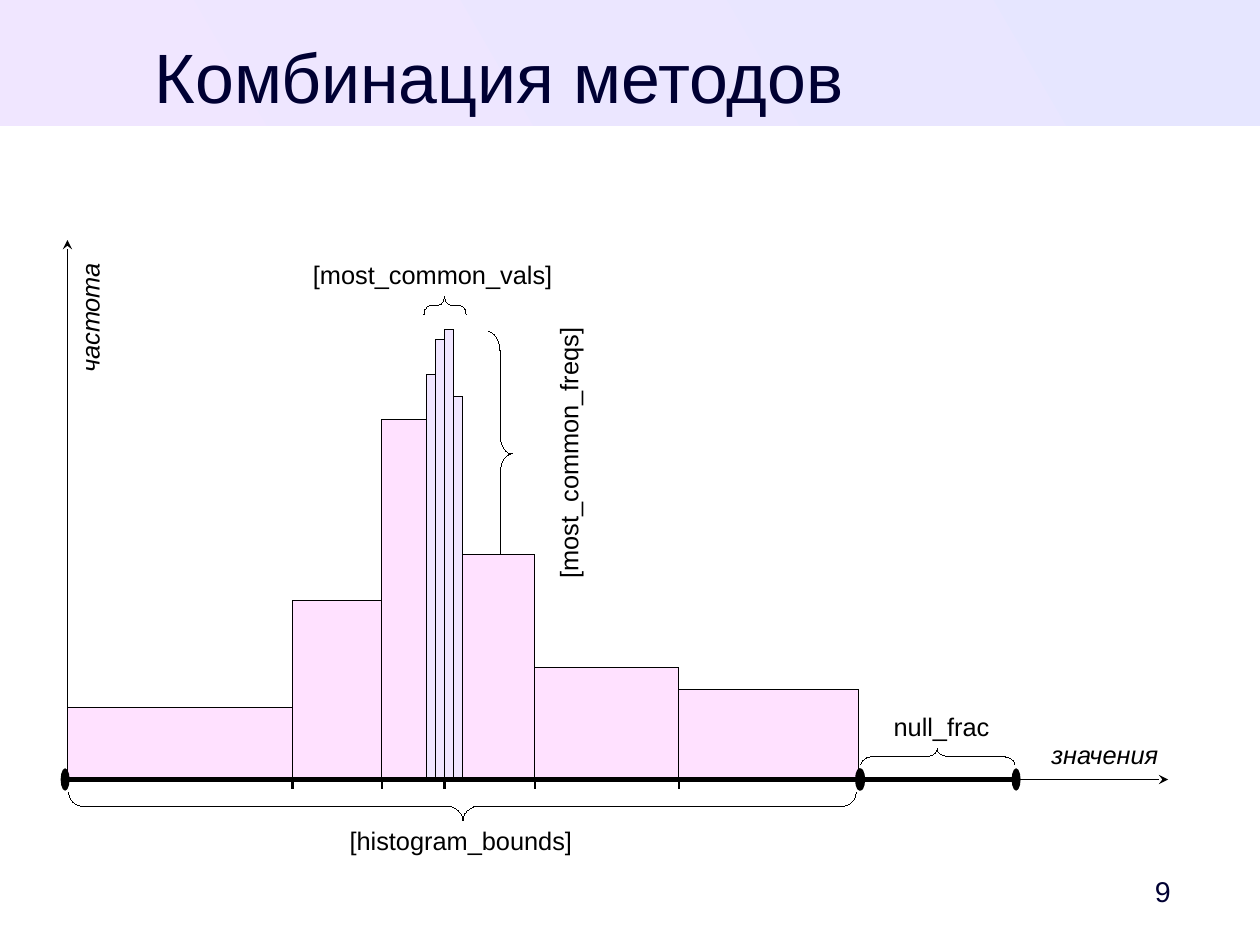
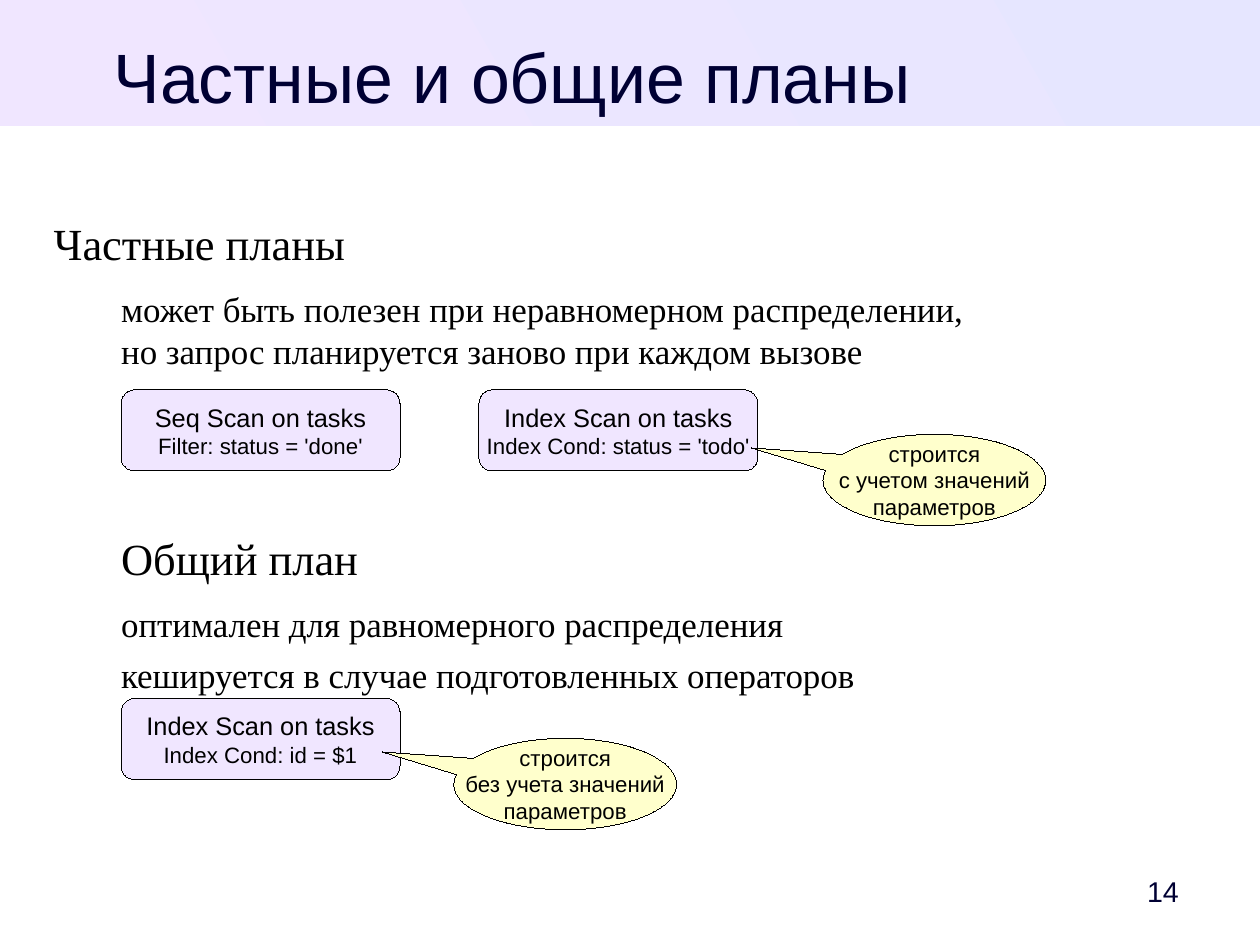
import pptx
import pptx.util
import pptx.dml.color
import pptx.enum.shapes
import pptx.enum.text
import pptx.oxml.ns
import lxml.etree

PX = 9144  # EMU in one px, 100 px to the inch
HAIRLINE = pptx.util.Emu(1)
SLIDE_SIZE = pptx.util.Cm(28), pptx.util.Cm(21)
COLOURS = {"ink": "000000", "title": "000033", "band start": "E6E6FF", "lilac": "F0E6FF",
           "pink": "FFE1FF", "yellow": "FFFFCC"}
SANS, SERIF = "Arial", "Times New Roman"
SHAPES = pptx.enum.shapes.MSO_SHAPE
ALIGN = pptx.enum.text.PP_ALIGN
ANCHOR = pptx.enum.text.MSO_ANCHOR
LINE_ENDS = {"oval": {"type": "oval", "w": "lg", "len": "sm"}, "stealth": {"type": "stealth"}}

# Histogram
BASELINE = 682
BARS = [  # left edge, height, colour; each bar ends where the next begins
    (59, 63, "pink"), (256, 157, "pink"), (334, 315, "pink"),
    (373, 354, "lilac"), (381, 385, "lilac"), (389, 394, "lilac"), (397, 335, "lilac"),
    (405, 197, "pink"), (468, 98, "pink"), (594, 79, "pink")]
BARS_END = 751
TICKS = [256, 334, 389, 468, 594]
BRACES = [  # visible box, rotation, arc length, distance of the point along the brace
    ((427, 290, 21, 388), 0, 17, 107),
    ((753, 655, 135, 14), 270, 11, 67),
    ((60, 693, 689, 25), 90, 13, 344),
    ((371, 259, 37, 16), 270, 6, 18)]
AXES = [  # from, to, width in points, head, tail
    ((752, BASELINE), (889, BASELINE), 2.83, "oval", "oval"),
    ((57, BASELINE), (753, BASELINE), 2.83, "oval", "oval"),
    ((882, BASELINE), (1022, BASELINE), 0, None, "stealth"),
    ((59, 681), (59, 210), 0, None, "stealth")]
LABELS = [  # text, visible box, rotation, italic
    ("null_frac", (772, 617, 114, 35), 0, False),
    ("[histogram_bounds]", (296, 717, 225, 41), 0, False),
    ("значения", (910, 642, 125, 41), 0, True),
    ("частота", (60, 210, 41, 126), 270, True),
    ("[most_common_vals]", (264, 222, 254, 35), 0, False),
    ("[most_common_freqs]", (479, 266, 60, 250), 270, False)]

# Plans
PLAN_TEXT = [  # text, size, indent, space after
    ("Частные планы", 28, 0, 11.3),
    ("может быть полезен при неравномерном распределении,\v"
     "но запрос планируется заново при каждом вызове", 22, 59, 101),
    ("Общий план", 28, 59, 11.3),
    ("оптимален для равномерного распределения", 22, 59, 5.7),
    ("кешируется в случае подготовленных операторов", 22, 59, 0)]
PLAN_NODES = [
    ((106, 341), ["Seq Scan on tasks", "Filter: status = 'done'"]),
    ((419, 341), ["Index Scan on tasks", "Index Cond: status = 'todo'"]),
    ((106, 611), ["Index Scan on tasks", "Index Cond: id = $1"])]
CALLOUTS = [
    ((720, 380), ["строится", "с учетом значений", "параметров"]),
    ((397, 646), ["строится", "без учета значений", "параметров"])]


def emu(*lengths):
    return [pptx.util.Emu(round(length * PX)) for length in lengths]


def rgb(name):
    return pptx.dml.color.RGBColor.from_string(COLOURS[name])


def unturned(box, rotation):
    """Frame which covers the visible box once it is rotated."""
    left, top, width, height = box
    if rotation % 180 == 0:
        return box
    return left + (width - height) / 2, top + (height - width) / 2, height, width


def format_paragraph(para, size, colour="ink", font=SANS, align=None, italic=None):
    para.alignment = align
    para.font.name = font
    para.font.size = pptx.util.Pt(size)
    para.font.italic = italic
    para.font.color.rgb = rgb(colour)


def add_shape(page, kind, box, fill=None, rotation=0):
    shape = page.shapes.add_shape(kind, *emu(*unturned(box, rotation)))
    shape.rotation = rotation
    shape.shadow.inherit = False
    if fill:
        shape.fill.solid()
        shape.fill.fore_color.rgb = rgb(fill)
    else:
        shape.fill.background()
    shape.line.color.rgb = rgb("ink")
    shape.line.width = HAIRLINE
    return shape


def add_lines_shape(page, kind, box, fill, lines, sizes):
    """Shape with one centred paragraph per line of text."""
    shape = add_shape(page, kind, box, fill)
    frame = shape.text_frame
    frame.text = "\n".join(lines)
    frame.word_wrap = False
    frame.vertical_anchor = ANCHOR.MIDDLE
    for para, size in zip(frame.paragraphs, sizes):
        format_paragraph(para, size, align=ALIGN.CENTER)
    return shape


def add_textbox(page, box, text, rotation=0):
    shape = page.shapes.add_textbox(*emu(*unturned(box, rotation)))
    shape.rotation = rotation
    shape.text_frame.word_wrap = True
    shape.text_frame.text = text
    return shape.text_frame


def clear_margins(frame):
    frame.margin_left = frame.margin_right = frame.margin_top = frame.margin_bottom = 0


def add_line(page, start, end, width, head=None, tail=None):
    line = page.shapes.add_connector(
        pptx.enum.shapes.MSO_CONNECTOR.STRAIGHT, *emu(*start, *end))
    line.line.color.rgb = rgb("ink")
    line.line.width = pptx.util.Pt(width) or HAIRLINE
    properties = line._element.spPr
    outline = properties.find(pptx.oxml.ns.qn("a:ln"))
    for tag, kind in (("a:headEnd", head), ("a:tailEnd", tail)):
        if kind:
            lxml.etree.SubElement(outline, pptx.oxml.ns.qn(tag), LINE_ENDS[kind])
    lxml.etree.SubElement(properties, pptx.oxml.ns.qn("a:effectLst"))


def add_page(deck, title, title_width, number):
    page = deck.slides.add_slide(deck.slide_layouts[5])

    band = add_shape(page, SHAPES.RECTANGLE, (0, 0, 1102, 110))
    band.width = deck.slide_width
    band.line.fill.background()
    band.fill.gradient()
    band.fill.gradient_angle = 210
    for stop, position, colour in zip(band.fill.gradient_stops, (0, 1), ("band start", "lilac")):
        stop.position = position
        stop.color.rgb = rgb(colour)
    page.shapes._spTree.insert(2, band._element)

    heading = page.shapes.title
    heading.left, heading.top, heading.width, heading.height = emu(47, 29, title_width, 69)
    frame = heading.text_frame
    frame.text = title
    frame.auto_size = pptx.enum.text.MSO_AUTO_SIZE.NONE
    frame.vertical_anchor = ANCHOR.TOP
    clear_margins(frame)
    format_paragraph(frame.paragraphs[0], 44, "title", align=ALIGN.CENTER)

    frame = add_textbox(page, (969, 756, 87, 47), str(number))
    frame.vertical_anchor = ANCHOR.MIDDLE
    frame.margin_right = 0
    format_paragraph(frame.paragraphs[0], 18, "title", align=ALIGN.CENTER)
    return page


def add_histogram_page(deck):
    page = add_page(deck, "Комбинация методов", 780, 9)
    for box, rotation, arc, point in BRACES:
        brace = add_shape(page, SHAPES.RIGHT_BRACE, box, rotation=rotation)
        brace.adjustments[0] = arc / min(box[2:])
        brace.adjustments[1] = point / max(box[2:])
    ends = [left for left, _, _ in BARS[1:]] + [BARS_END]
    for (left, height, colour), end in zip(BARS, ends):
        add_shape(page, SHAPES.RECTANGLE, (left, BASELINE - height, end - left, height), colour)
    for tick in TICKS:
        add_line(page, (tick, 681), (tick, 690), 1.42)
    for axis in AXES:
        add_line(page, *axis)
    for text, box, rotation, italic in LABELS:
        frame = add_textbox(page, box, text, rotation)
        format_paragraph(frame.paragraphs[0], 16, italic=italic)


def add_plans_page(deck):
    page = add_page(deck, "Частные и общие планы", 803, 14)
    frame = add_textbox(page, (47, 189, 1008, 571), "\n".join(row[0] for row in PLAN_TEXT))
    clear_margins(frame)
    for para, (_, size, indent, after) in zip(frame.paragraphs, PLAN_TEXT):
        para._p.get_or_add_pPr().set("marL", str(indent * PX))
        para.space_after = pptx.util.Pt(after)
        format_paragraph(para, size, font=SERIF)
    for corner, lines in PLAN_NODES:
        add_lines_shape(page, SHAPES.ROUNDED_RECTANGLE, (*corner, 244, 71), "lilac",
                        lines, (16, 14))
    for corner, lines in CALLOUTS:
        callout = add_lines_shape(page, SHAPES.OVAL_CALLOUT, (*corner, 195, 80), "yellow",
                                  lines, (14, 14, 14))
        callout.adjustments[0] = -0.82
        callout.adjustments[1] = -0.35


def main():
    deck = pptx.Presentation()
    deck.slide_width, deck.slide_height = SLIDE_SIZE
    add_histogram_page(deck)
    add_plans_page(deck)
    deck.save("out.pptx")


if __name__ == "__main__":
    main()
